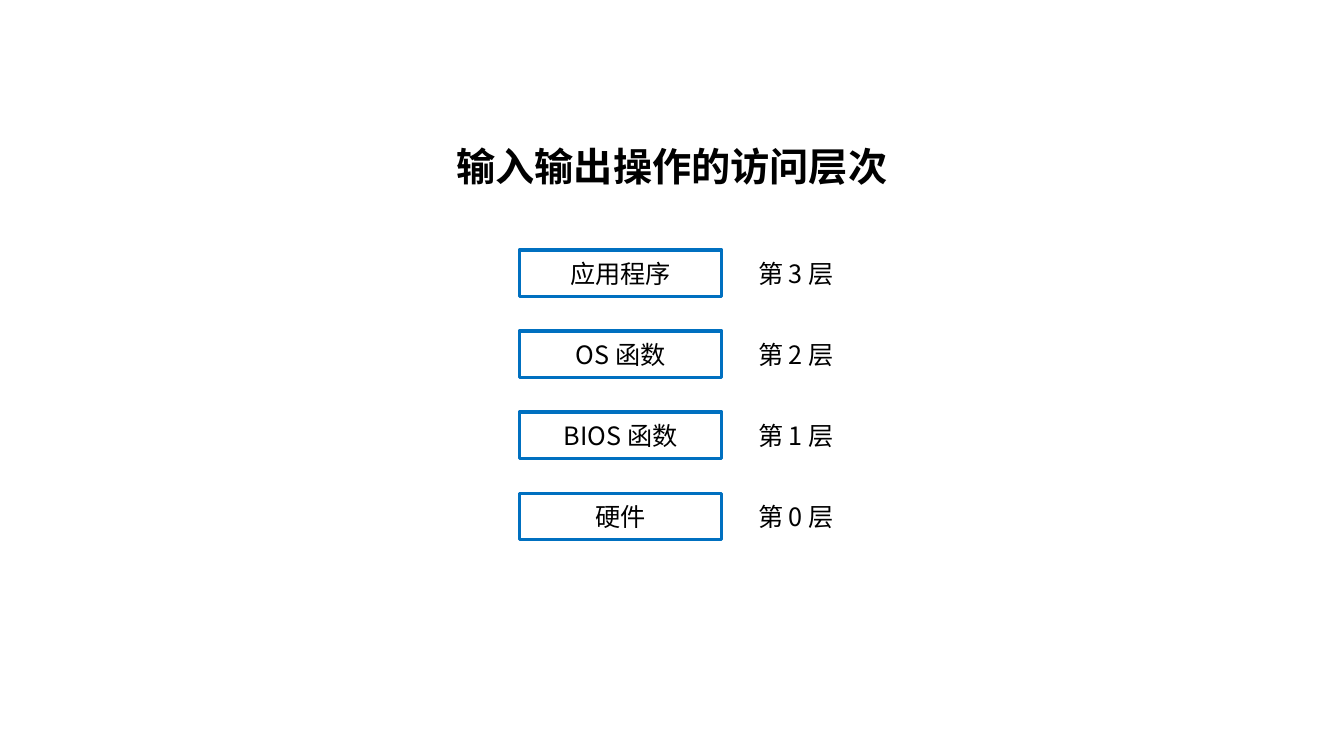
from lxml.etree import SubElement
from pptx import Presentation
from pptx.dml.color import RGBColor
from pptx.enum.shapes import MSO_SHAPE
from pptx.enum.text import MSO_ANCHOR, MSO_AUTO_SIZE, PP_ALIGN
from pptx.oxml.ns import qn
from pptx.util import Inches, Pt

COLORS = {"text": "000000", "border": "0070C0"}
FONT = "Noto Sans CJK SC"
LAYERS = ["应用程序", "OS 函数", "BIOS 函数", "硬件"]
FIRST_TOP = 2.48
ROW_STEP = 0.804


def write_text(box, text, size=18, bold=False, align=PP_ALIGN.LEFT, anchor=MSO_ANCHOR.TOP):
    """Fill a shape with one formatted paragraph."""
    frame = box.text_frame
    frame.word_wrap = True
    frame.vertical_anchor = anchor
    para = frame.paragraphs[0]
    para.alignment = align
    span = para.add_run()
    span.text = text
    span.font.size = Pt(size)
    span.font.bold = bold
    span.font.color.rgb = RGBColor.from_string(COLORS["text"])
    span.font.name = FONT
    SubElement(span.font._element, qn("a:ea")).set("typeface", FONT)


def add_label(shapes, text, left, top, width, height, **text_format):
    """Add a text box that grows with its text."""
    box = shapes.add_textbox(Inches(left), Inches(top), Inches(width), Inches(height))
    write_text(box, text, **text_format)
    box.text_frame.auto_size = MSO_AUTO_SIZE.SHAPE_TO_FIT_TEXT


def add_layer_box(shapes, text, left, top, width, height):
    """Add an outlined rectangle with centred text."""
    box = shapes.add_shape(
        MSO_SHAPE.RECTANGLE, Inches(left), Inches(top), Inches(width), Inches(height)
    )
    box.shadow.inherit = False
    box.fill.background()
    box.line.color.rgb = RGBColor.from_string(COLORS["border"])
    box.line.width = Pt(2.25)
    write_text(box, text, align=PP_ALIGN.CENTER, anchor=MSO_ANCHOR.MIDDLE)


def add_layer(page, name, level, top):
    """Group a layer's box with its level label."""
    group = page.shapes.add_group_shape()
    add_layer_box(group.shapes, name, 5.15, top, 2.01, 0.46)
    add_label(group.shapes, f"第 {level} 层", 7.42, top + 0.03, 1.1, 0.4)


def main():
    """Build and save the slide."""
    deck = Presentation()
    deck.slide_width = Inches(13.33)
    deck.slide_height = Inches(7.5)
    page = deck.slides.add_slide(deck.slide_layouts[6])
    add_label(page.shapes, "输入输出操作的访问层次", 4.43, 1.36, 4.8, 0.57, size=28, bold=True)
    for row, name in enumerate(LAYERS):
        add_layer(page, name, len(LAYERS) - 1 - row, FIRST_TOP + row * ROW_STEP)
    deck.save("out.pptx")


if __name__ == "__main__":
    main()
